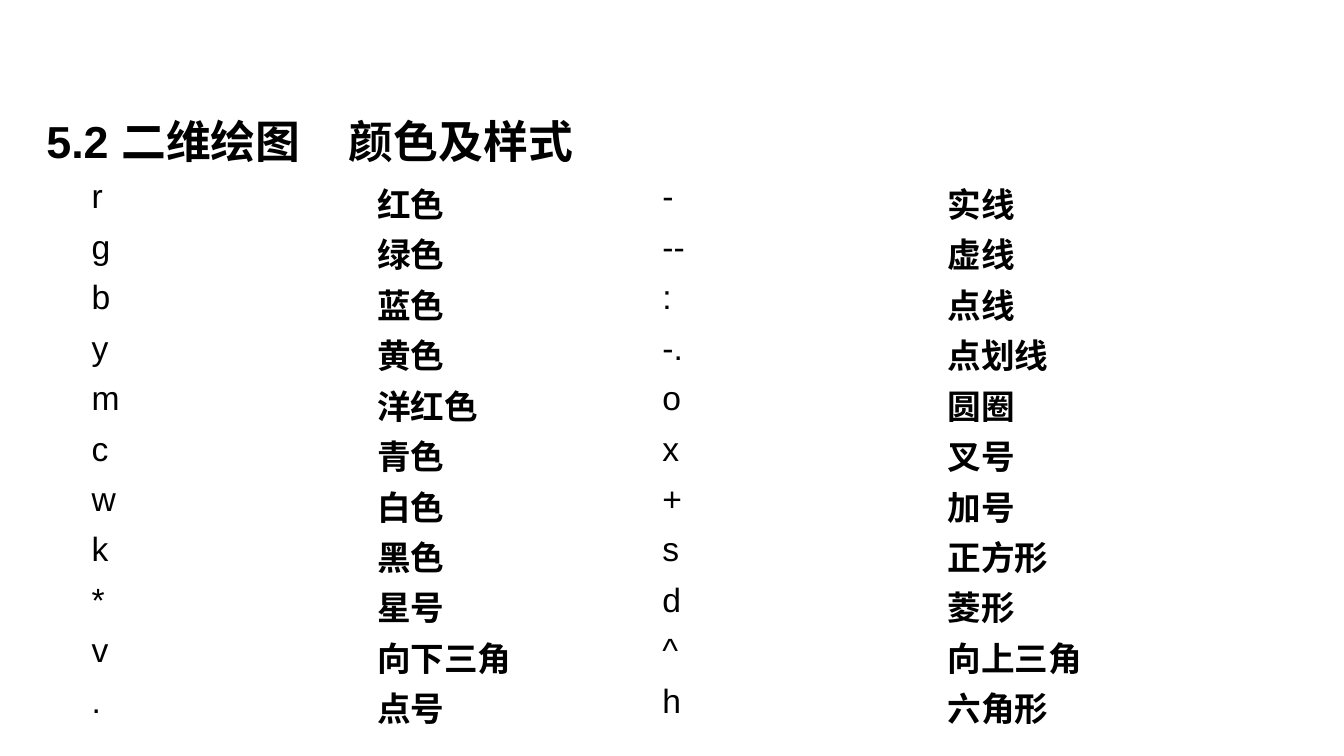
from pptx import Presentation
from pptx.dml.color import RGBColor
from pptx.enum.text import MSO_ANCHOR, MSO_AUTO_SIZE, PP_ALIGN
from pptx.util import Inches, Pt


def style(font, size, bold, color="000000"):
    for name, value in {"name": "Arial", "size": Pt(size), "bold": bold}.items():
        setattr(font, name, value)
    font.color.rgb = RGBColor.from_string(color)


prs = Presentation()
prs.slide_width, prs.slide_height = Inches(13.33), Inches(7.5)
s = prs.slides.add_slide(prs.slide_layouts[5])

title = s.shapes.title
box = {"left": 0.36, "top": 1.08, "width": 5.57, "height": 0.64}
for name, value in box.items():
    setattr(title, name, Inches(value))
tf = title.text_frame
frame = {"word_wrap": True, "auto_size": MSO_AUTO_SIZE.SHAPE_TO_FIT_TEXT,
         "vertical_anchor": MSO_ANCHOR.TOP}
for name, value in frame.items():
    setattr(tf, name, value)
p = tf.paragraphs[0]
p.alignment = PP_ALIGN.LEFT
r = p.add_run()
r.text = "5.2 二维绘图\t颜色及样式"
style(r.font, 32, True)

rows = [
    ("r", "红色", "-", "实线"),
    ("g", "绿色", "--", "虚线"),
    ("b", "蓝色", ":", "点线"),
    ("y", "黄色", "-.", "点划线"),
    ("m", "洋红色", "o", "圆圈"),
    ("c", "青色", "x", "叉号"),
    ("w", "白色", "+", "加号"),
    ("k", "黑色", "s", "正方形"),
    ("*", "星号", "d", "菱形"),
    ("v", "向下三角", "^", "向上三角"),
    (".", "点号", "h", "六角形"),
]
table = s.shapes.add_table(len(rows), 4, Inches(0.81), Inches(1.72),
                           Inches(11.32), Inches(5.5)).table
table.first_row = False
table.horz_banding = False
for i, row in enumerate(rows):
    for j, text in enumerate(row):
        cell = table.cell(i, j)
        cell.fill.background()
        r = cell.text_frame.paragraphs[0].add_run()
        r.text = text
        style(r.font, 24, j % 2 == 1)

prs.save("out.pptx")
